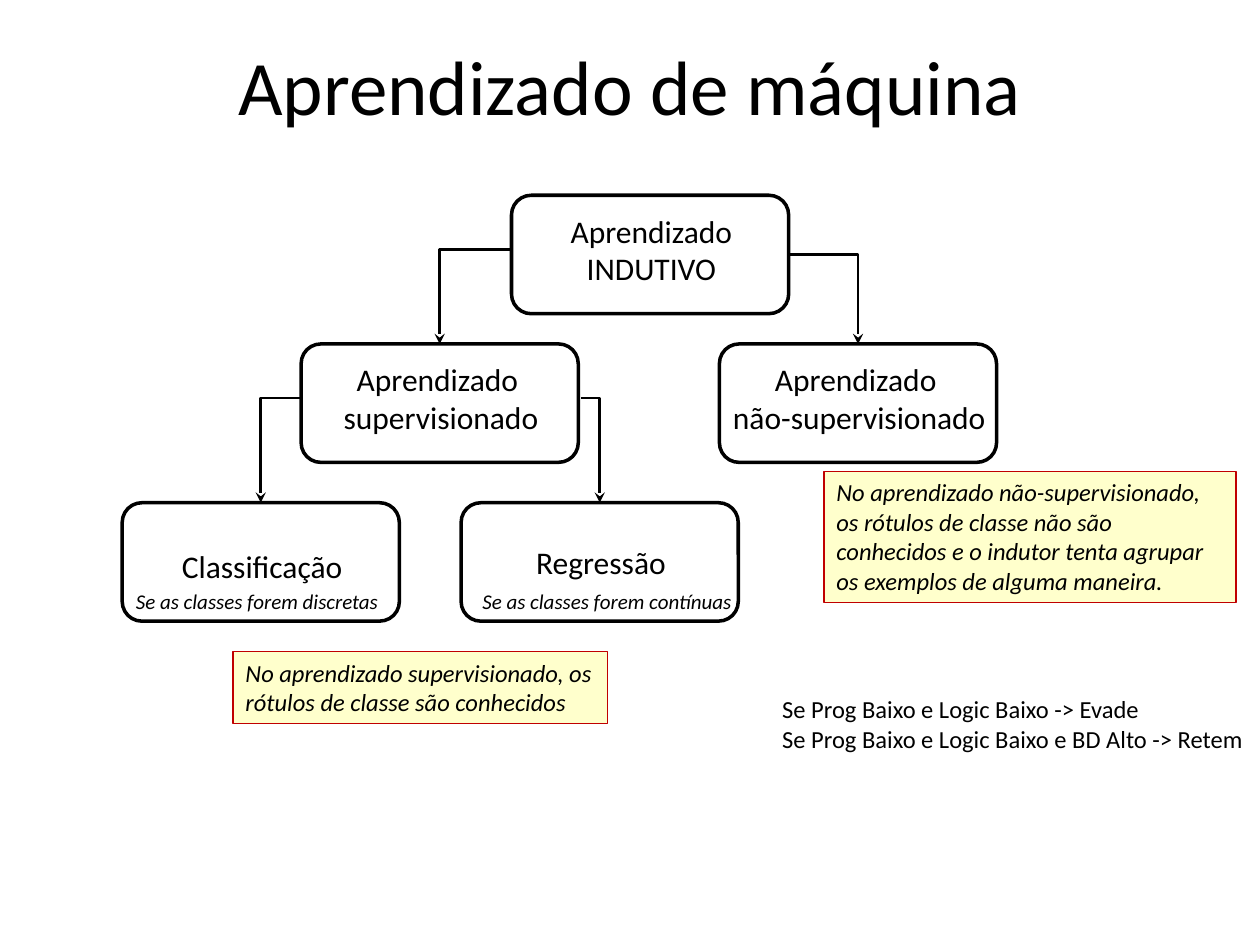
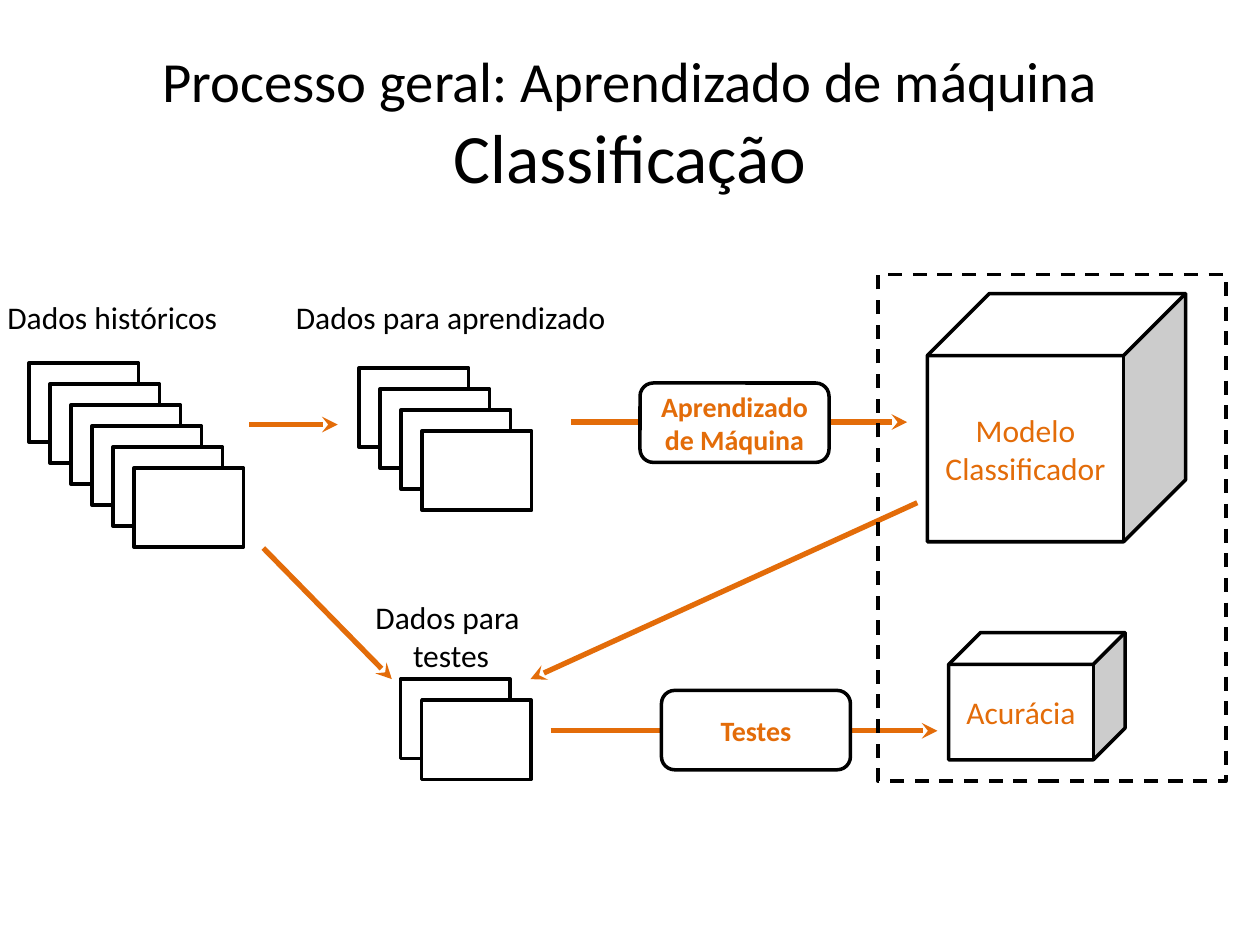
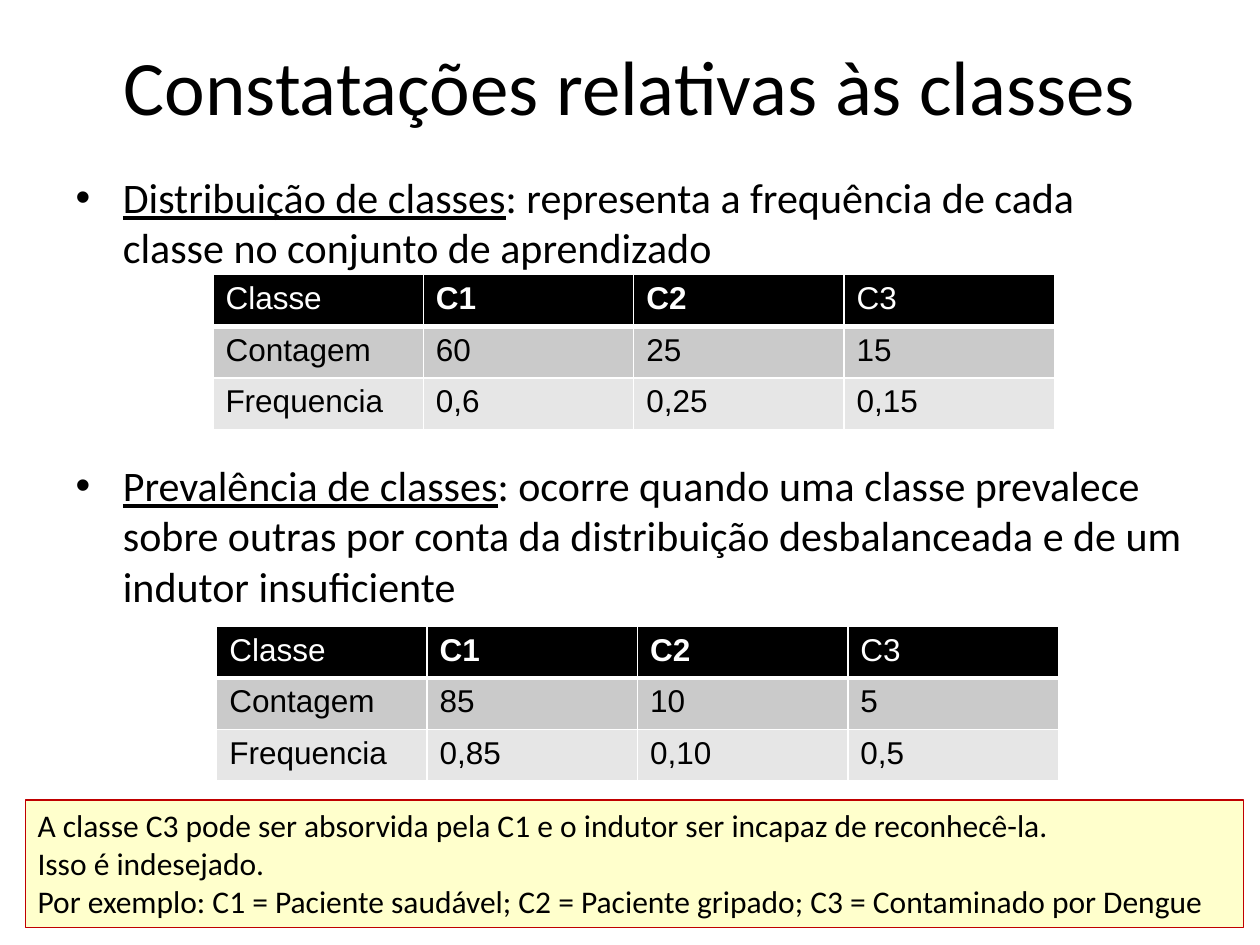
from lxml import etree
from pptx import Presentation
from pptx.dml.color import RGBColor
from pptx.enum import dml, shapes, text
from pptx.oxml import ns
from pptx.util import Inches, Pt

BLACK, WHITE, ORANGE = "000000", "FFFFFF", "E36C09"
NOTE_FILL, NOTE_LINE = "FFFFCC", "C00000"
ROW_FILLS = [BLACK, "CACACA", "E6E6E6"]
SHAPE = shapes.MSO_SHAPE
CENTER = text.PP_ALIGN.CENTER
LEFT = text.PP_ALIGN.LEFT
TITLE_ONLY, TITLE_AND_BODY = 5, 1


def color(value):
    """Turn a hex string into a colour."""
    return RGBColor.from_string(value)


def child(parent, tag, **attributes):
    """Append a drawing element to an XML parent."""
    return etree.SubElement(parent, ns.qn(tag), attributes)


class Deck:
    """Holds the presentation, its style and the current slide."""

    def __init__(self):
        """Start an empty 10 by 7.5 inch presentation."""
        self.presentation = Presentation()
        self.presentation.slide_width = Inches(10)
        self.presentation.slide_height = Inches(7.5)
        self.slide = None

    def new_slide(self, layout):
        """Add a slide and make it current."""
        layouts = self.presentation.slide_layouts
        self.slide = self.presentation.slides.add_slide(layouts[layout])

    def place(self, shape, box):
        """Move and size a shape to left, top, width, height."""
        shape.left, shape.top, shape.width, shape.height = map(Inches, box)

    def add_run(self, paragraph, words, size, ink=BLACK, font="Calibri",
                bold=False, italic=False, underline=False):
        """Add one formatted run."""
        run = paragraph.add_run()
        run.text = words
        run.font.name, run.font.size = font, Pt(size)
        run.font.bold, run.font.italic = bold, italic
        run.font.underline = underline
        run.font.color.rgb = color(ink)

    def add_lines(self, frame, lines, size, align=LEFT, **style):
        """Add each line as a paragraph with one run."""
        frame.word_wrap = True
        for index, words in enumerate(lines):
            paragraph = frame.paragraphs[0] if index == 0 else frame.add_paragraph()
            paragraph.alignment = align
            self.add_run(paragraph, words, size, **style)

    def title(self, parts, box=(0.5, 0.05, 9, 1.25)):
        """Fill the title with (words, size) parts, one on each line."""
        title = self.slide.shapes.title
        self.place(title, box)
        frame = title.text_frame
        frame.auto_size = text.MSO_AUTO_SIZE.NONE
        frame.vertical_anchor = text.MSO_ANCHOR.MIDDLE
        paragraph = frame.paragraphs[0]
        paragraph.alignment = CENTER
        for index, (words, size) in enumerate(parts):
            if index:
                paragraph.add_line_break()
            self.add_run(paragraph, words, size)

    def body(self, bullets, box):
        """Fill the body with (term, explanation, space before) bullets."""
        body = self.slide.placeholders[1]
        self.place(body, box)
        frame = body.text_frame
        frame.auto_size = text.MSO_AUTO_SIZE.NONE
        for index, (term, explanation, space) in enumerate(bullets):
            paragraph = frame.paragraphs[0] if index == 0 else frame.add_paragraph()
            paragraph.space_before = Pt(space)
            self.add_run(paragraph, term, 24, underline=True)
            self.add_run(paragraph, explanation, 24)

    def label(self, box, lines, size=18, align=LEFT, margin=0.05, **style):
        """Add a plain text box."""
        frame = self.slide.shapes.add_textbox(*map(Inches, box)).text_frame
        frame.margin_top = frame.margin_bottom = Inches(margin)
        self.add_lines(frame, lines, size, align, **style)

    def shape(self, kind, box, fill=WHITE, line=BLACK, width=2):
        """Add a preset shape without shadow."""
        shape = self.slide.shapes.add_shape(kind, *map(Inches, box))
        shape.shadow.inherit = False
        if fill:
            shape.fill.solid()
            shape.fill.fore_color.rgb = color(fill)
        else:
            shape.fill.background()
        shape.line.color.rgb = color(line)
        shape.line.width = Pt(width)
        return shape

    def captioned(self, kind, box, words, size, bold=False):
        """Add a shape with centred orange text."""
        frame = self.shape(kind, box).text_frame
        frame.vertical_anchor = text.MSO_ANCHOR.MIDDLE
        self.add_lines(frame, [words], size, CENTER, ink=ORANGE, bold=bold)

    def note(self, box, lines, size, italic=False):
        """Add a yellow note with a red edge."""
        frame = self.shape(SHAPE.RECTANGLE, box, NOTE_FILL, NOTE_LINE, 0.75).text_frame
        frame.vertical_anchor = text.MSO_ANCHOR.TOP
        self.add_lines(frame, lines, size, italic=italic)

    def stack(self, left, top, count):
        """Add a cascade of overlapping sheets."""
        step = 1 / 6
        for index in range(count):
            self.shape(SHAPE.RECTANGLE,
                       (left + index * step, top + index * step, 0.87, 0.63))

    def arrow(self, start, end, ink=ORANGE, width=3, bent=False):
        """Add an arrow; a bent one runs sideways, then down."""
        kind = shapes.MSO_CONNECTOR.ELBOW if bent else shapes.MSO_CONNECTOR.STRAIGHT
        arrow = self.slide.shapes.add_connector(kind, *map(Inches, start + end))
        arrow.line.color.rgb = color(ink)
        arrow.line.width = Pt(width)
        properties = arrow.element.spPr
        if bent:
            properties.find(ns.qn("a:prstGeom")).set("prst", "bentConnector2")
        child(properties.find(ns.qn("a:ln")), "a:tailEnd", type="stealth")
        child(properties, "a:effectLst")

    def border(self, properties, side, width):
        """Draw one white cell border."""
        line = child(properties, f"a:ln{side}", w=str(Pt(width)))
        child(child(line, "a:solidFill"), "a:srgbClr", val=WHITE)

    def table(self, left, top, rows):
        """Add a class table with a black header row."""
        columns = len(rows[0])
        table = self.slide.shapes.add_table(
            len(rows), columns, Inches(left), Inches(top),
            Inches(1.67 * columns), Inches(0.41 * len(rows))).table
        table.first_row = table.horz_banding = False
        for column in table.columns:
            column.width = Inches(1.67)
        for row_index, values in enumerate(rows):
            header = row_index == 0
            for column_index, value in enumerate(values):
                cell = table.cell(row_index, column_index)
                self.add_lines(cell.text_frame, [value], 18, font="Arial",
                               ink=WHITE if header else BLACK,
                               bold=header and value in ("C1", "C2"))
                properties = cell._tc.get_or_add_tcPr()
                for side in "LRTB":
                    thick = (side == "B" and header) or (side == "T" and row_index == 1)
                    self.border(properties, side, 3 if thick else 1)
                cell.fill.solid()
                cell.fill.fore_color.rgb = color(ROW_FILLS[row_index])


def learning_tree(deck):
    """Build the tree of kinds of learning."""
    deck.new_slide(TITLE_ONLY)
    deck.title([("Aprendizado de máquina", 44)])
    nodes = [
        (4.06, 1.55, 0.08, ["Aprendizado INDUTIVO"]),
        (5.71, 2.73, 0.08, ["Aprendizado ", "não-supervisionado"]),
        (2.39, 2.73, 0.08, ["Aprendizado ", "supervisionado"]),
        (0.97, 3.99, 0.3, ["Classificação"]),
        (3.66, 3.99, 0.27, ["Regressão"]),
    ]
    for left, top, offset, lines in nodes:
        deck.shape(SHAPE.ROUNDED_RECTANGLE, (left, top, 2.2, 0.94), fill=None)
        height = 0.71 if top < 3.9 else 0.4
        deck.label((left, top + offset, 2.22, height), lines, align=CENTER)
    branches = [
        ((4.06, 1.98), (3.49, 2.73)),
        ((2.39, 3.16), (2.07, 3.99)),
        ((4.61, 3.16), (4.76, 3.99)),
        ((6.26, 2.02), (6.81, 2.73)),
    ]
    for start, end in branches:
        deck.arrow(start, end, BLACK, 1.5, bent=True)
    deck.label((0.98, 4.62, 2.14, 0.3), ["Se as classes forem discretas"], 12, italic=True)
    deck.label((3.73, 4.62, 2.2, 0.3), ["Se as classes forem contínuas"], 12, italic=True)
    deck.note((1.85, 5.17, 2.97, 0.57),
              ["No aprendizado supervisionado, os rótulos de classe são conhecidos"],
              14, italic=True)
    deck.note((6.54, 3.74, 3.27, 1.04),
              ["No aprendizado não-supervisionado, os rótulos de classe não são "
               "conhecidos e o indutor tenta agrupar os exemplos de alguma maneira."],
              14, italic=True)
    deck.label((6.11, 5.41, 7.46, 0.87),
               ["Se Prog Baixo e Logic Baixo -> Evade",
                "Se Prog Baixo e Logic Baixo e BD Alto -> Retem"], 14, margin=0.1)


def classification_process(deck):
    """Build the flow from historical data to a tested model."""
    deck.new_slide(TITLE_ONLY)
    deck.title([("Processo geral: Aprendizado de máquina", 32.4),
                ("Classificação", 39.6)], (0.5, 0.62, 9, 0.69))
    for left, top, count in [(0.23, 2.88, 6), (2.85, 2.92, 4), (3.18, 5.39, 2)]:
        deck.stack(left, top, count)
    flows = [
        ((1.98, 3.37), (2.68, 3.37)),
        ((2.09, 4.35), (3.11, 5.39)),
        ((4.53, 3.35), (7.2, 3.35)),
        ((7.28, 3.99), (4.21, 5.39)),
        ((4.37, 5.8), (7.44, 5.8)),
    ]
    for start, end in flows:
        deck.arrow(start, end)
    deck.captioned(SHAPE.CUBE, (7.36, 2.33, 2.05, 1.97), "Modelo Classificador", 18)
    deck.captioned(SHAPE.CUBE, (7.53, 5.02, 1.4, 1.01), "Acurácia", 18)
    frame = deck.shape(SHAPE.RECTANGLE, (6.97, 2.18, 2.76, 4.02), fill=None)
    frame.line.dash_style = dml.MSO_LINE.DASH
    deck.label((-0.04, 2.32, 1.88, 0.4), ["Dados históricos"])
    deck.label((2.25, 2.32, 2.69, 0.4), ["Dados para aprendizado"])
    deck.label((2.87, 4.7, 1.42, 0.71), ["Dados para ", "testes"], align=CENTER)
    deck.captioned(SHAPE.ROUNDED_RECTANGLE, (5.25, 5.48, 1.5, 0.63), "Testes", 16, True)
    deck.captioned(SHAPE.ROUNDED_RECTANGLE, (5.08, 3.04, 1.5, 0.63),
                   "Aprendizado de Máquina", 16, True)


def class_findings(deck):
    """Build the definitions with their two class tables."""
    deck.new_slide(TITLE_AND_BODY)
    deck.title([("Constatações relativas às classes", 44)])
    deck.body([
        ("Distribuição de classes",
         ": representa a frequência de cada classe no conjunto de aprendizado", 0),
        ("Prevalência de classes",
         ": ocorre quando uma classe prevalece sobre outras por conta da "
         "distribuição desbalanceada e de um indutor insuficiente", 107),
    ], (0.5, 1.31, 9, 5.98))
    header = ["Classe", "C1", "C2", "C3"]
    deck.table(1.69, 2.18, [header, ["Contagem", "60", "25", "15"],
                            ["Frequencia", "0,6", "0,25", "0,15"]])
    deck.table(1.72, 4.97, [header, ["Contagem", "85", "10", "5"],
                            ["Frequencia", "0,85", "0,10", "0,5"]])
    deck.note((0.2, 6.35, 9.67, 1.01), [
        "A classe C3 pode ser absorvida pela C1 e o indutor ser incapaz de reconhecê-la.",
        "Isso é indesejado.",
        "Por exemplo: C1 = Paciente saudável; C2 = Paciente gripado; "
        "C3 = Contaminado por Dengue",
    ], 18)


deck = Deck()
learning_tree(deck)
classification_process(deck)
class_findings(deck)
deck.presentation.save("out.pptx")
